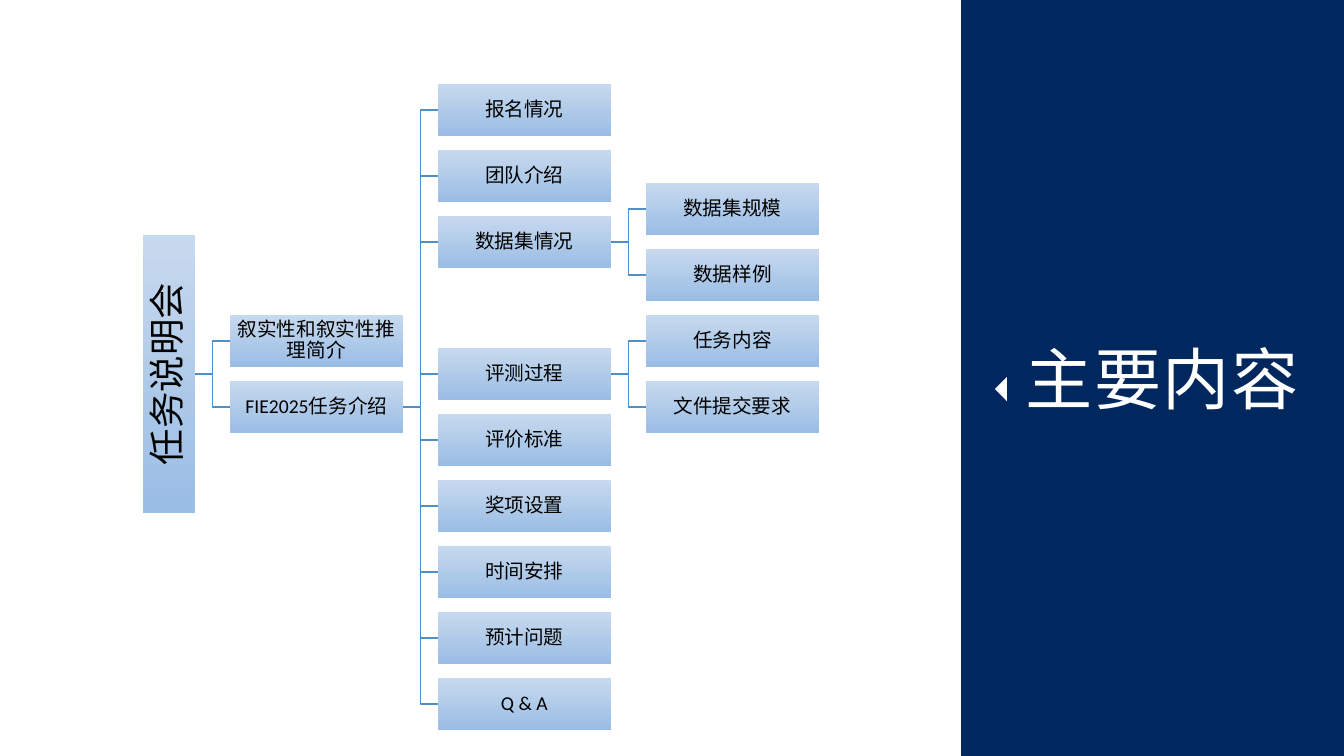
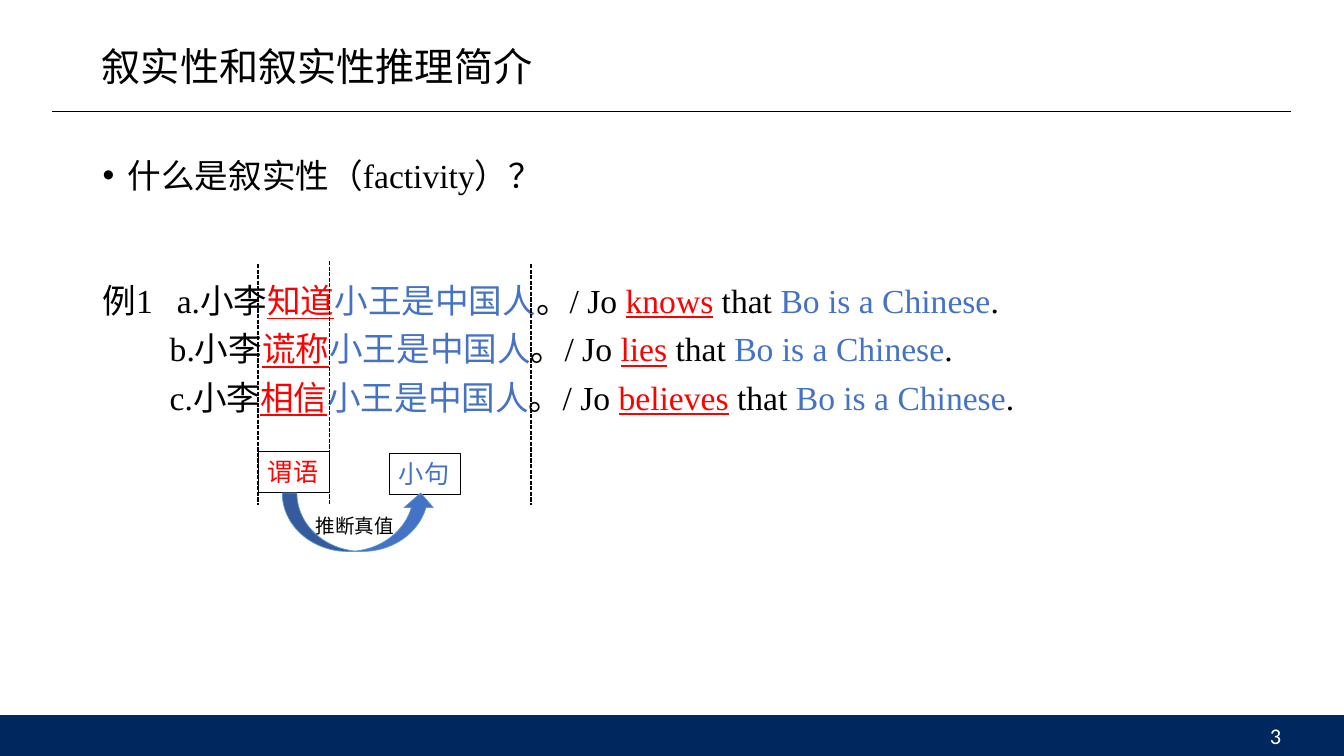
import pptx
import pptx.dml.color
import pptx.enum.dml
import pptx.enum.shapes
import pptx.enum.text
import pptx.oxml
import pptx.oxml.ns
import pptx.util

Pt = pptx.util.Pt
SHAPE = pptx.enum.shapes.MSO_SHAPE
CONNECTOR = pptx.enum.shapes.MSO_CONNECTOR
ALIGN = pptx.enum.text.PP_ALIGN
ANCHOR = pptx.enum.text.MSO_ANCHOR

COLORS = {
    "navy": "00285F",
    "white": "FFFFFF",
    "black": "000000",
    "red": "FF0000",
    "blue": "4472C4",
    "arrow_edge": "5B9BD5",
    "branch": "538DC1",
    "box_light": "C7D9EE",
    "box_dark": "9ABDE5",
}
SANS = "Calibri"
SERIF = "Times New Roman"
WIDTH, HEIGHT = 960, 540
TITLE_ONLY = 5

OUTLINE = ("任务说明会", 4, [
    ("叙实性和叙实性推理简介", 3.5, []),
    ("FIE2025任务介绍", 4.5, [
        ("报名情况", 0, []),
        ("团队介绍", 1, []),
        ("数据集情况", 2, [("数据集规模", 1.5, []), ("数据样例", 2.5, [])]),
        ("评测过程", 4, [("任务内容", 3.5, []), ("文件提交要求", 4.5, [])]),
        ("评价标准", 5, []),
        ("奖项设置", 6, []),
        ("时间安排", 7, []),
        ("预计问题", 8, []),
        ("Q & A", 9, []),
    ]),
])

EXAMPLES = [
    ("例1\ta.", 53, -53, "知道", "knows"),
    ("b.", 48, 0, "谎称", "lies"),
    ("c.", 48, 0, "相信", "believes"),
]


def rgb(name):
    return pptx.dml.color.RGBColor.from_string(COLORS[name])


def add_run(paragraph, text, size=14, font=SANS, color="black", underline=False, tracking=None):
    run = paragraph.add_run()
    run.text = text
    run.font.size = Pt(size)
    run.font.name = font
    run.font.color.rgb = rgb(color)
    if underline:
        run.font.underline = True
    if tracking:
        run.font._element.set("spc", str(tracking * 100))
    return run


def format_frame(frame, anchor=ANCHOR.TOP, margins=(7.2, 3.6), wrap=True):
    frame.auto_size = pptx.enum.text.MSO_AUTO_SIZE.NONE
    frame.word_wrap = wrap
    frame.vertical_anchor = anchor
    frame.margin_left = frame.margin_right = Pt(margins[0])
    frame.margin_top = frame.margin_bottom = Pt(margins[1])


def write_text(frame, text, align=ALIGN.LEFT, line_spacing=None, anchor=ANCHOR.TOP,
               margins=(7.2, 3.6), wrap=True, **run_format):
    format_frame(frame, anchor, margins, wrap)
    paragraph = frame.paragraphs[0]
    paragraph.alignment = align
    if line_spacing:
        paragraph.line_spacing = line_spacing
    add_run(paragraph, text, **run_format)


def add_text_box(slide, box, text, **text_format):
    shape = slide.shapes.add_textbox(*map(Pt, box))
    write_text(shape.text_frame, text, **text_format)
    return shape


def add_box(slide, kind, box, fill=None, line=None, line_width=1):
    shape = slide.shapes.add_shape(kind, *map(Pt, box))
    shape.shadow.inherit = False
    if fill:
        shape.fill.solid()
        shape.fill.fore_color.rgb = rgb(fill)
    else:
        shape.fill.background()
    if line:
        shape.line.color.rgb = rgb(line)
        shape.line.width = Pt(line_width)
    else:
        shape.line.fill.background()
    return shape


def add_line(slide, start=(0, 0), end=(0, 0), kind=CONNECTOR.STRAIGHT, color="black",
             width=1, dash=None):
    line = slide.shapes.add_connector(kind, *map(Pt, start + end))
    line.line.color.rgb = rgb(color)
    line.line.width = Pt(width)
    if dash:
        line.line.dash_style = dash
    properties = line._element.spPr
    properties.append(pptx.oxml.parse_xml("<a:effectLst %s/>" % pptx.oxml.ns.nsdecls("a")))
    return line


def add_title(slide, box, text, **text_format):
    title = slide.shapes.title
    title.left, title.top, title.width, title.height = map(Pt, box)
    write_text(title.text_frame, text, **text_format)


def add_tree_box(slide, box, text, **text_format):
    shape = add_box(slide, SHAPE.RECTANGLE, box)
    shape.fill.gradient()
    shape.fill.gradient_angle = 270
    for stop, color in zip(shape.fill.gradient_stops, ("box_light", "box_dark")):
        stop.color.rgb = rgb(color)
    write_text(shape.text_frame, text, align=ALIGN.CENTER, anchor=ANCHOR.MIDDLE,
               line_spacing=0.9, margins=(1, 1), **text_format)
    return shape


def add_tree(slide, left, top):
    box_width, box_height, column_gap, row_pitch = 124, 37.2, 24.6, 47.15
    root_width, root_height = box_height, 198.6

    def add_node(node, node_left, depth):
        text, row, children = node
        center = top + box_height / 2 + row * row_pitch
        width, height = (box_width, box_height) if depth else (root_width, root_height)
        box = (node_left, center - height / 2, width, height)
        shape = add_tree_box(slide, box, text, size=14 if depth else 26)
        if depth == 0:
            shape.text_frame._txBody.bodyPr.set("vert", "vert270")
        for child in children:
            child_shape = add_node(child, node_left + width + column_gap, depth + 1)
            branch = add_line(slide, kind=CONNECTOR.ELBOW, color="branch")
            branch.begin_connect(shape, 3)
            branch.end_connect(child_shape, 1)
        return shape

    add_node(OUTLINE, left, 0)


def add_title_panel(slide, left, width, text):
    add_box(slide, SHAPE.RECTANGLE, (left, 0, width, HEIGHT), "navy", "navy")
    pointer = add_box(slide, SHAPE.ISOSCELES_TRIANGLE, (left + 19.4, 273.6, 17.3, 8.6), "white")
    pointer.rotation = 270
    title = slide.shapes.title
    slide.shapes._spTree.append(title._element)
    add_title(slide, (left + 31.7, 237.6, 223.2, 65.5), text, align=ALIGN.CENTER,
              size=48, font=SERIF, color="white", tracking=1)


def add_content_frame(slide, title, number):
    add_title(slide, (65.5, -3, 828, 104.4), title, anchor=ANCHOR.MIDDLE,
              line_spacing=0.9, size=28)
    add_line(slide, (37.4, 79.2), (922.3, 79.2), width=0.5)
    add_box(slide, SHAPE.RECTANGLE, (0, 511, WIDTH, 29), "navy", "navy")
    add_text_box(slide, (706.3, 511, 216, 29), str(number), align=ALIGN.RIGHT,
                 anchor=ANCHOR.MIDDLE, size=16, color="white")


def indent_paragraph(paragraph, left, first, bullet=None):
    properties = paragraph._p.get_or_add_pPr()
    properties.set("marL", str(Pt(left)))
    properties.set("indent", str(Pt(first)))
    if bullet:
        namespace = pptx.oxml.ns.nsdecls("a")
        for tag in ('buFont %s typeface="Arial"', 'buChar %s char="' + bullet + '"'):
            properties.append(pptx.oxml.parse_xml("<a:" + tag % namespace + "/>"))
    paragraph.line_spacing = 1.2


def add_examples(slide, box, question):
    frame = slide.shapes.add_textbox(*map(Pt, box)).text_frame
    format_frame(frame)
    paragraph = frame.paragraphs[0]
    indent_paragraph(paragraph, 18, -18, "•")
    add_run(paragraph, question, size=24, font=SERIF)
    for index, (label, left, first, predicate, verb) in enumerate(EXAMPLES):
        paragraph = frame.add_paragraph()
        indent_paragraph(paragraph, left, first)
        paragraph.space_before = Pt(0 if index else 54.6)
        for text, color in (
            (label + "小李", "black"), (predicate, "red"), ("小王是中国人", "blue"),
            ("。/ Jo ", "black"), (verb, "red"), (" that ", "black"),
            ("Bo is a Chinese", "blue"), (".", "black"),
        ):
            add_run(paragraph, text, size=24, font=SERIF, color=color, underline=color == "red")


def add_inference_diagram(slide, left, top):
    for offset, rise in ((0, 2.1), (51.1, 0), (195.1, 2.1)):
        add_line(slide, (left + offset, top + rise), (left + offset, top + 174.2),
                 dash=pptx.enum.dml.MSO_LINE.SQUARE_DOT)
    for x, y, text, color in ((0, 136.1, "谓语", "red"), (93.6, 137.5, "小句", "blue")):
        label = add_box(slide, SHAPE.RECTANGLE, (left + x, top + y, 51.1, 29), line="black",
                        line_width=0.75)
        write_text(label.text_frame, text, size=18, color=color, wrap=False)
    add_box(slide, SHAPE.CURVED_UP_ARROW, (left + 17.3, top + 165.6, 109.4, 41.8), "blue",
            "arrow_edge", 0.5)
    add_text_box(slide, (left + 33.9, top + 177.1, 71.3, 24.5), "推断真值", wrap=False)


def build_outline_slide(presentation):
    slide = presentation.slides.add_slide(presentation.slide_layouts[TITLE_ONLY])
    add_title_panel(slide, 686.9, 273.1, "主要内容")
    add_tree(slide, 102.2, 60)


def build_factivity_slide(presentation):
    slide = presentation.slides.add_slide(presentation.slide_layouts[TITLE_ONLY])
    add_content_frame(slide, "叙实性和叙实性推理简介", 3)
    add_examples(slide, (66.2, 101.5, 828, 377.3), "什么是叙实性（factivity）？")
    add_inference_diagram(slide, 184.3, 186.5)


def main():
    presentation = pptx.Presentation()
    presentation.slide_width = Pt(WIDTH)
    presentation.slide_height = Pt(HEIGHT)
    build_outline_slide(presentation)
    build_factivity_slide(presentation)
    presentation.save("out.pptx")


if __name__ == "__main__":
    main()
